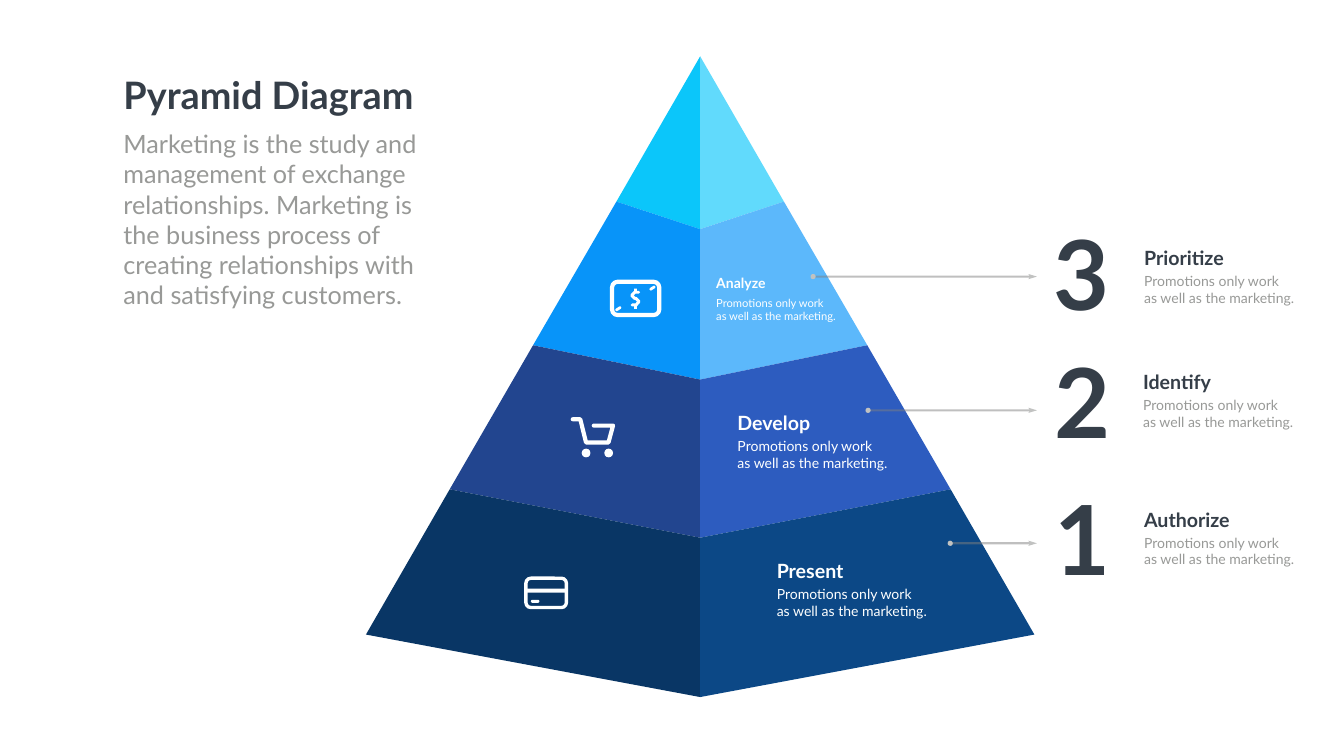
from dataclasses import dataclass
from itertools import pairwise
from typing import Any, NamedTuple

from lxml.etree import SubElement
from pptx import Presentation
from pptx.dml.color import RGBColor
from pptx.enum.shapes import MSO_CONNECTOR, MSO_SHAPE
from pptx.enum.text import MSO_AUTO_SIZE
from pptx.oxml.ns import qn
from pptx.util import Cm, Pt

INK = {
    "dark": "353E48", "gray": "989997", "white": "FEFFFF",
    "line": "808080", "tip": "C1C2C1",
}
FACES = {
    "top": ("0BC6FA", "61DAFC"),
    "third": ("0894F9", "5CB8FB"),
    "second": ("22458F", "2D5CBF"),
    "first": ("093665", "0C4886"),
}
MID = 35.28
END = 51.94
NOTE = ["Promotions only work", "as well as the marketing."]


class Edge(NamedTuple):
    half: float
    side: float
    mid: float


class Size(NamedTuple):
    head: int
    body: int
    gap: float
    wide: float
    span: float


@dataclass
class Label:
    x: float
    y: float
    head: str
    size: Size
    tone: str
    note: str


@dataclass
class Step:
    digit: str
    x: float
    y: float
    start: float
    rule: float


@dataclass
class Part:
    kind: MSO_SHAPE
    x: float
    y: float
    w: float
    h: float
    turn: float = 0
    bend: float | None = None
    stroke: float = 0


EDGES = [
    Edge(0, 2.84, 2.84), Edge(4.22, 10.16, 11.55), Edge(8.42, 17.4, 19.13),
    Edge(12.62, 24.66, 27.1), Edge(16.84, 31.98, 35.13),
]
LARGE = Size(28, 20, 1.34, 5.66, 8.76)
SMALL = Size(20, 16, 1.07, 4.27, 6.58)
LABELS = [
    Label(38.89, 28.04, "Present", LARGE, "white", "white"),
    Label(36.91, 20.6, "Develop", LARGE, "white", "white"),
    Label(35.84, 13.72, "Analyze", SMALL, "white", "white"),
    Label(57.4, 12.29, "Prioritize", LARGE, "dark", "gray"),
    Label(57.35, 18.54, "Identify", LARGE, "dark", "gray"),
    Label(57.4, 25.45, "Authorize", LARGE, "dark", "gray"),
]
STEPS = [
    Step("3", 52.83, 10.64, 40.97, 13.94),
    Step("2", 52.86, 17.09, 43.74, 20.68),
    Step("1", 52.86, 24, 47.88, 27.38),
]
ROUND = MSO_SHAPE.ROUNDED_RECTANGLE
PARTS = [
    Part(ROUND, 30.84, 14.2, 2.38, 1.68, bend=0.17, stroke=0.21),
    Part(ROUND, 26.5, 29.14, 2.04, 1.48, bend=0.17, stroke=0.17),
    Part(MSO_SHAPE.RECTANGLE, 26.54, 29.67, 2.02, 0.2),
    Part(ROUND, 26.75, 30.23, 0.43, 0.15, bend=0.5),
    *[Part(MSO_SHAPE.OVAL, x, 22.61, 0.44, 0.44) for x in (29.31, 30.45)],
    *[Part(MSO_SHAPE.RECTANGLE, 31.95, y, 0.14, 0.2) for y in (14.55, 15.37)],
    *[Part(ROUND, x, y, 0.33, 0.14, -33, 0.5)
      for x, y in ((32.71, 14.45), (30.99, 15.49))],
]
CART = [
    (28.86, 21.13), (29.24, 21.13), (29.53, 22.3),
    (30.66, 22.3), (30.89, 21.45), (29.92, 21.45),
]
DOLLAR = [
    (32.18, 14.73), (31.98, 14.73), (31.83, 14.89), (31.98, 15.04),
    (32.05, 15.04), (32.2, 15.2), (32.05, 15.37), (31.85, 15.37),
]


def tint(hue: str) -> RGBColor:
    return RGBColor.from_string(hue)


def paint(shape: Any, hue: str, stroke: float = 0) -> None:
    shape.shadow.inherit = False
    if stroke:
        shape.fill.background()
        shape.line.color.rgb = tint(hue)
        shape.line.width = Cm(stroke)
    else:
        shape.fill.solid()
        shape.fill.fore_color.rgb = tint(hue)
        shape.line.fill.background()


def trace(shapes: Any, points: list, hue: str, stroke: float = 0) -> None:
    spots = [(Cm(x), Cm(y)) for x, y in points]
    pen = shapes.build_freeform(*spots[0], scale=1.0)
    pen.add_line_segments(spots[1:], close=not stroke)
    shape = pen.convert_to_shape()
    paint(shape, hue, stroke)
    if stroke:
        line = shape.line._get_or_add_ln()
        line.set("cap", "rnd")
        SubElement(line, qn("a:round"))


def place(shapes: Any, part: Part, hue: str) -> None:
    shape = shapes.add_shape(
        part.kind, Cm(part.x), Cm(part.y), Cm(part.w), Cm(part.h))
    if part.bend is not None:
        shape.adjustments[0] = part.bend
    shape.rotation = part.turn
    paint(shape, hue, part.stroke)


def write(shapes: Any, x: float, y: float, w: float, h: float,
          lines: list[str], size: int, tone: str, bold: bool = False,
          wrap: bool = True) -> None:
    frame = shapes.add_textbox(Cm(x), Cm(y), Cm(w), Cm(h)).text_frame
    frame.word_wrap = wrap
    frame.auto_size = MSO_AUTO_SIZE.SHAPE_TO_FIT_TEXT
    frame.text = "\n".join(lines)
    form = {"name": "Lato", "size": Pt(size), "bold": bold}
    for para in frame.paragraphs:
        font = para.runs[0].font
        for key, value in form.items():
            setattr(font, key, value)
        font.color.rgb = tint(INK[tone])


def point(shapes: Any, x: float, y: float) -> None:
    rule = shapes.add_connector(
        MSO_CONNECTOR.STRAIGHT, Cm(x), Cm(y), Cm(END), Cm(y))
    rule.line.color.rgb = tint(INK["line"])
    rule.line.width = Pt(3)
    hue = rule.line._get_or_add_ln().find(".//" + qn("a:srgbClr"))
    SubElement(hue, qn("a:alpha"), val="50000")
    SubElement(rule._element.spPr, qn("a:effectLst"))
    place(shapes, Part(MSO_SHAPE.OVAL, x - 0.13, y - 0.13, 0.26, 0.26), INK["tip"])
    head = [(END - 0.05, y), (END - 0.12, y - 0.13),
            (END + 0.31, y), (END - 0.12, y + 0.13)]
    trace(shapes, head, INK["tip"])


def main() -> None:
    deck = Presentation()
    deck.slide_width, deck.slide_height = Cm(67.72), Cm(38.1)
    shapes = deck.slides.add_slide(deck.slide_layouts[6]).shapes

    for (top, base), hues in zip(pairwise(EDGES), FACES.values()):
        for side, hue in zip((-1, 1), hues):
            trace(shapes, [
                (MID, top.mid), (MID + side * top.half, top.side),
                (MID + side * base.half, base.side), (MID, base.mid),
            ], hue)
    for part in PARTS:
        place(shapes, part, INK["white"])
    trace(shapes, CART, INK["white"], 0.21)
    trace(shapes, DOLLAR, INK["white"], 0.15)

    for step in STEPS:
        point(shapes, step.start, step.rule)
        write(shapes, step.x, step.y, 5.66, 6.15, [step.digit], 138, "dark", True)
    for item in LABELS:
        size = item.size
        write(shapes, item.x, item.y, size.wide, 1.45, [item.head],
              size.head, item.tone, True)
        write(shapes, item.x, item.y + size.gap, size.span, 1.96, NOTE,
              size.body, item.note)
    write(shapes, 5.97, 3.51, 15.44, 2.57, ["Pyramid Diagram"], 54, "dark", True, False)
    write(shapes, 5.97, 6.35, 15.49, 9.5, [
        "Marketing is the study and management of exchange relationships. "
        "Marketing is the business process of creating relationships with "
        "and satisfying customers."], 36, "gray")
    deck.save("out.pptx")


if __name__ == "__main__":
    main()
